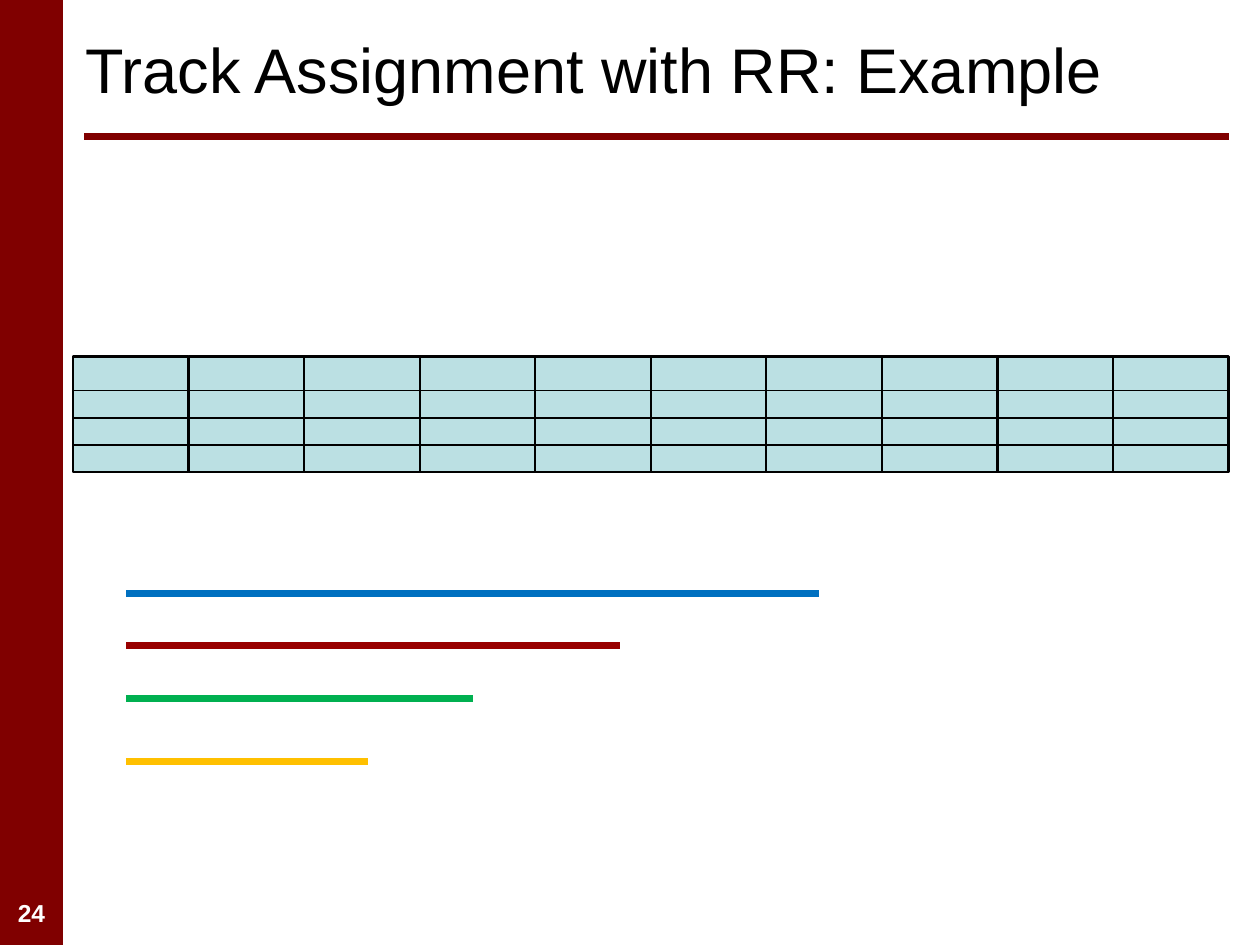
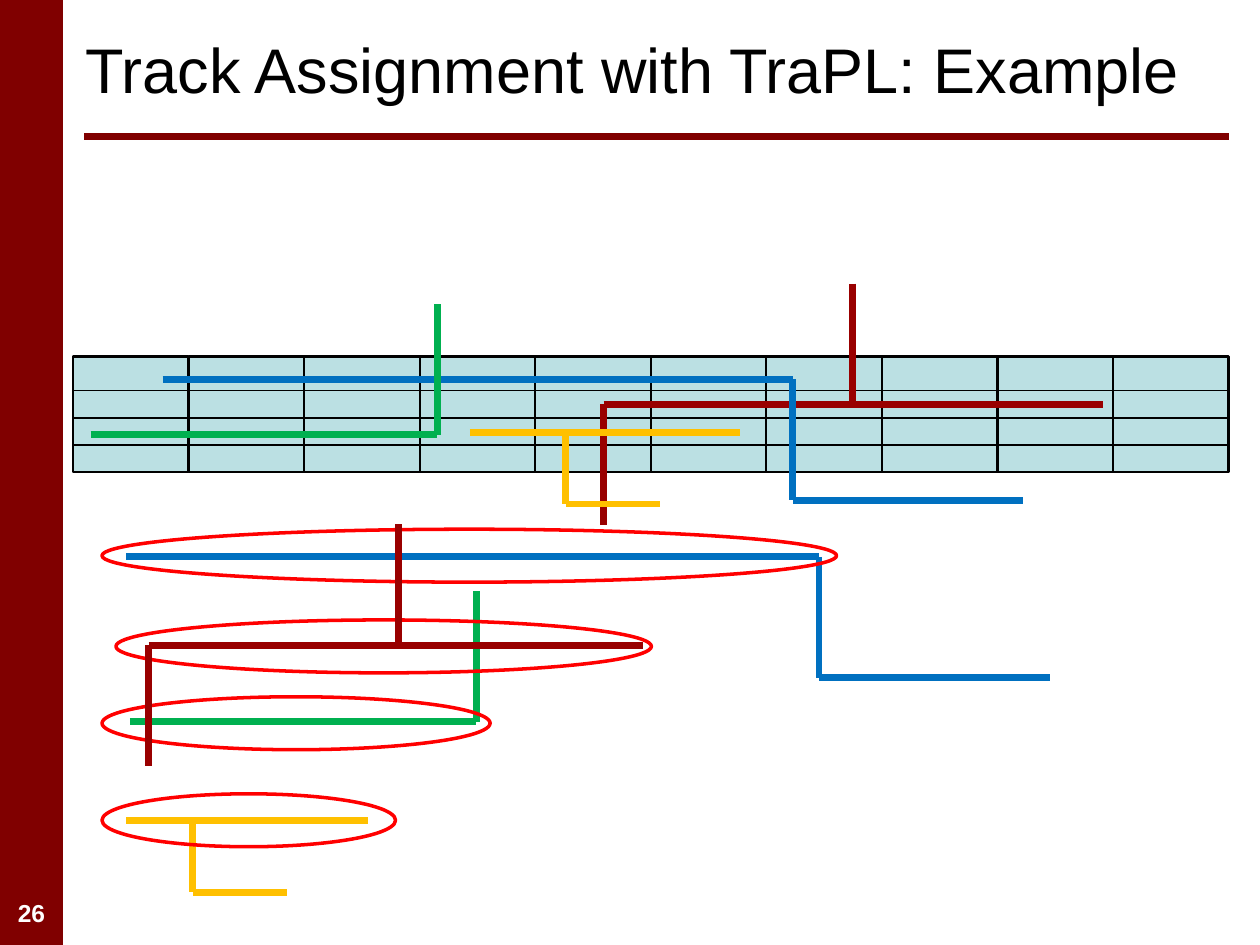
from typing import Any, NamedTuple

from lxml.etree import SubElement
from pptx import Presentation
from pptx.dml.color import RGBColor
from pptx.enum.shapes import MSO_CONNECTOR as Link, MSO_SHAPE as Shape
from pptx.enum.text import MSO_ANCHOR as Anchor, MSO_AUTO_SIZE as Fit, PP_ALIGN as Align
from pptx.oxml.ns import qn
from pptx.util import Inches, Pt

MAROON, BLACK, WHITE = "800000", "000000", "FFFFFF"
PANEL, HIGHLIGHT = "BBE0E3", "FF0000"
BLUE, RED, GREEN, YELLOW = "0070C0", "990000", "00B050", "FFC000"
FONT = "Arial"
PANEL_LEFT, PANEL_TOP, PANEL_WIDTH = 0.58, 2.83, 9.17
CELL_COUNT, CELLS_PER_GROUP = 10, 5
CELL = PANEL_WIDTH / CELL_COUNT
TRACKS = (3.1, 3.32, 3.53)
NET_WIDTH = 4
RING_HEIGHT = 0.42


class Segment(NamedTuple):
    x1: float
    y1: float
    x2: float
    y2: float


class Wire(NamedTuple):
    color: str
    start: float
    end: float
    y: float


class Net(NamedTuple):
    wire: Wire
    via: float


class Ring(NamedTuple):
    left: float
    top: float
    width: float


BRANCHES = {
    BLUE: (Segment(0, 0, 0, 0.96), Segment(0, 0.96, 1.83, 0.96)),
    RED: (Segment(1.98, -0.96, 1.98, 0), Segment(0, 0, 0, 0.96)),
    GREEN: (Segment(0, 0, 0, -1.04),),
    YELLOW: (Segment(0, 0, 0, 0.57), Segment(0, 0.57, 0.75, 0.57)),
}
UNASSIGNED_WIRES = (
    Wire(BLUE, 1, 6.5, 4.71),
    Wire(RED, 1, 4.92, 5.12),
    Wire(GREEN, 1, 3.75, 5.54),
    Wire(YELLOW, 1, 2.92, 6.04),
)
LOWER_NETS = (
    Net(Wire(BLUE, 1, 6.5, 4.42), 6.5),
    Net(Wire(RED, 4.79, 8.75, 3.21), 4.79),
    Net(Wire(GREEN, 1.03, 3.78, 5.73), 3.78),
    Net(Wire(YELLOW, 1, 2.92, 6.51), 1.53),
)
UPPER_NETS = (
    Net(Wire(BLUE, 1.29, 6.29, 3.01), 6.29),
    Net(Wire(RED, 1.18, 5.1, 5.12), 1.18),
    Net(Wire(GREEN, 0.72, 3.47, 3.45), 3.47),
    Net(Wire(YELLOW, 3.73, 5.87, 3.43), 4.49),
)
RINGS = (
    Ring(0.81, 4.2, 5.83),
    Ring(0.92, 4.92, 4.25),
    Ring(0.81, 5.53, 3.08),
    Ring(0.81, 6.3, 2.33),
)


def rgb(color: str) -> RGBColor:
    return RGBColor.from_string(color)


def apply(target: Any, values: dict[str, Any]) -> None:
    for name, value in values.items():
        setattr(target, name, value)


def set_font(paragraph: Any, color: str, size: int, bold: bool) -> None:
    apply(paragraph.font, {"name": FONT, "size": Pt(size), "bold": bold})
    paragraph.font.color.rgb = rgb(color)


def draw_line(parent: Any, segment: Segment, color: str, width: float) -> None:
    line = parent.add_connector(Link.STRAIGHT, *map(Inches, segment))
    line.line.color.rgb = rgb(color)
    line.line.width = Pt(width)
    SubElement(line.element.spPr, qn("a:effectLst"))


def draw_shape(parent: Any, kind: Shape, box: tuple[float, ...], fill: str | None,
               outline: str | None = None, width: float = 1) -> None:
    shape = parent.add_shape(kind, *map(Inches, box))
    shape.shadow.inherit = False
    if fill:
        shape.fill.solid()
        shape.fill.fore_color.rgb = rgb(fill)
    else:
        shape.fill.background()
    if outline:
        shape.line.color.rgb = rgb(outline)
        shape.line.width = Pt(width)
    else:
        shape.line.fill.background()


def draw_wire(parent: Any, wire: Wire) -> None:
    draw_line(parent, Segment(wire.start, wire.y, wire.end, wire.y), wire.color, NET_WIDTH)


def draw_net(slide: Any, net: Net) -> None:
    group = slide.shapes.add_group_shape().shapes
    draw_wire(group, net.wire)
    x, y, color = net.via, net.wire.y, net.wire.color
    for branch in BRANCHES[color]:
        placed = Segment(x + branch.x1, y + branch.y1, x + branch.x2, y + branch.y2)
        draw_line(group, placed, color, NET_WIDTH)


def draw_panel(slide: Any) -> None:
    for first in range(0, CELL_COUNT, CELLS_PER_GROUP):
        group = slide.shapes.add_group_shape().shapes
        left = PANEL_LEFT + first * CELL
        for column in range(CELLS_PER_GROUP):
            box = (left + column * CELL, PANEL_TOP, CELL, CELL)
            draw_shape(group, Shape.RECTANGLE, box, PANEL, BLACK, 1.25)
        for y in TRACKS:
            draw_line(group, Segment(left, y, left + CELLS_PER_GROUP * CELL, y), BLACK, 1)


def start_slide(deck: Any, heading: str, number: int) -> Any:
    slide = deck.slides.add_slide(deck.slide_layouts[5])
    title = slide.shapes.title
    apply(title, {"left": Inches(0.58), "top": Inches(0),
                  "width": Inches(9.17), "height": Inches(1.08)})
    apply(title.text_frame, {"text": heading, "word_wrap": True,
                             "auto_size": Fit.NONE, "vertical_anchor": Anchor.MIDDLE})
    title_line = title.text_frame.paragraphs[0]
    title_line.alignment = Align.LEFT
    set_font(title_line, BLACK, 36, False)

    draw_shape(slide.shapes, Shape.RECTANGLE, (0, 0, 0.5, 7.5), MAROON)
    draw_line(slide.shapes, Segment(0.67, 1.08, 9.75, 1.08), MAROON, 4)

    page = slide.shapes.add_textbox(*map(Inches, (0, 7.08, 0.5, 0.33))).text_frame
    apply(page, {"text": str(number), "word_wrap": True})
    page.paragraphs[0].alignment = Align.CENTER
    set_font(page.paragraphs[0], WHITE, 14, True)

    draw_panel(slide)
    return slide


def main() -> None:
    deck = Presentation()
    apply(deck, {"slide_width": Inches(10), "slide_height": Inches(7.5)})

    before = start_slide(deck, "Track Assignment with RR: Example", 24)
    for wire in UNASSIGNED_WIRES:
        draw_wire(before.shapes, wire)

    after = start_slide(deck, "Track Assignment with TraPL: Example", 26)
    for net in LOWER_NETS:
        draw_net(after, net)
    for ring in RINGS:
        draw_shape(after.shapes, Shape.OVAL, (*ring, RING_HEIGHT), None, HIGHLIGHT, 2)
    for net in UPPER_NETS:
        draw_net(after, net)

    deck.save("out.pptx")


if __name__ == "__main__":
    main()
